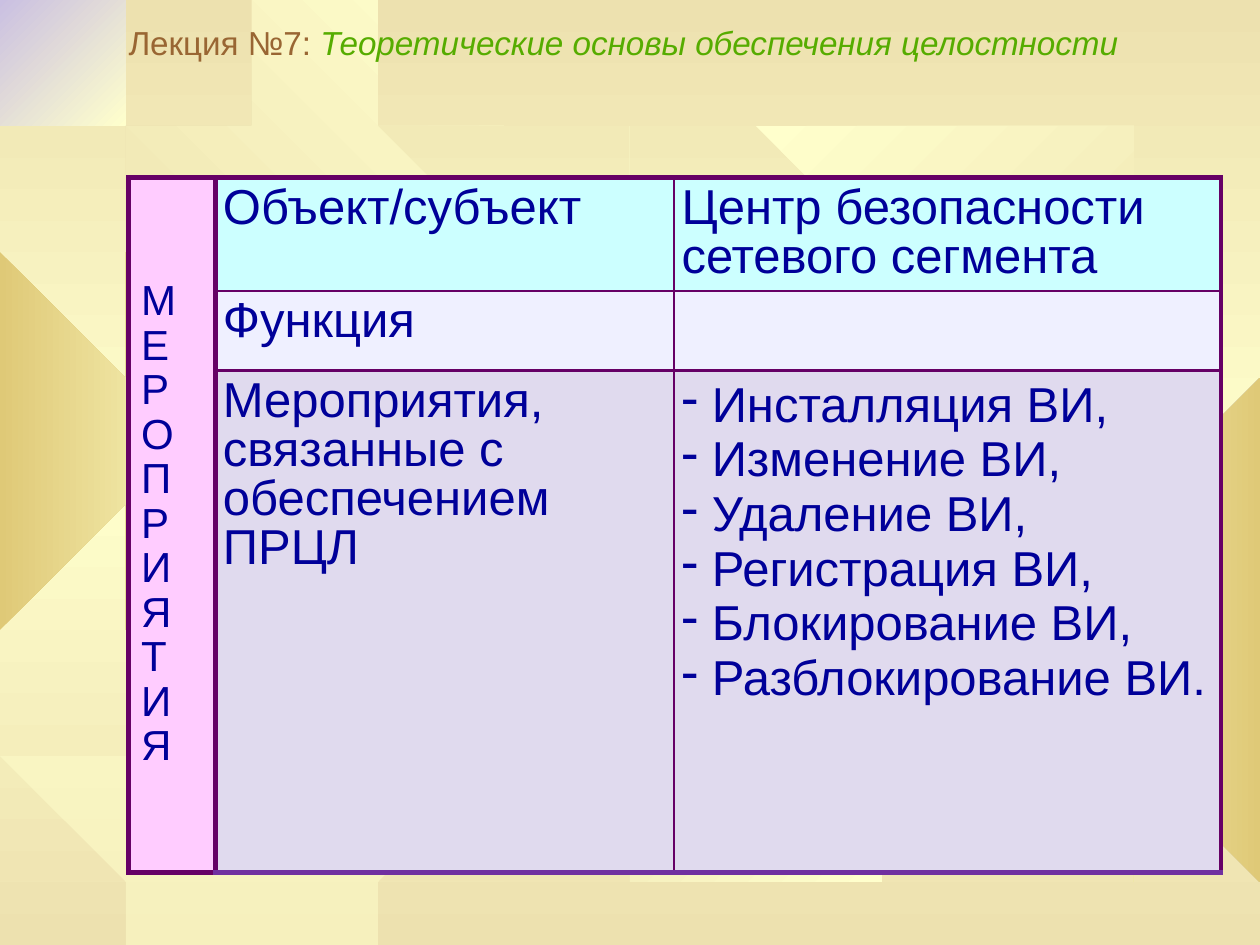
from copy import deepcopy
from lxml import etree
from pptx import Presentation
from pptx.dml.color import RGBColor
from pptx.enum.text import MSO_ANCHOR, MSO_AUTO_SIZE, PP_ALIGN
from pptx.oxml.ns import qn
from pptx.util import Inches, Pt

LEFT = PP_ALIGN.LEFT
TOP, MIDDLE = MSO_ANCHOR.TOP, MSO_ANCHOR.MIDDLE
FONT = "Arial"
NAVY, PLUM, VIOLET = "000099", "660066", "7030A0"
SAND, CREAM, GOLD, LILAC = "EDE1AF", "FFFFCC", "DFC977", "CAC0E2"
THICK, THIN = 3, 1.5

LECTURE = [("Лекция №7: ", "996633", False),
           ("Теоретические основы обеспечения целостности", "56AC00", True)]
SIDE_WORD = "МЕРОПРИЯТИЯ"
ROWS = [
    ("CCFFFF", "Объект/субъект", ["Центр безопасности сетевого сегмента"]),
    ("EFF0FF", "Функция", []),
    ("E0DAEE", "Мероприятия, связанные с обеспечением ПРЦЛ",
     ["Инсталляция ВИ,", "Изменение ВИ,", "Удаление ВИ,",
      "Регистрация ВИ,", "Блокирование ВИ,", "Разблокирование ВИ."]),
]
COLUMN_WIDTHS = [0.69, 3.64, 4.34]
ROW_HEIGHTS = [0.9, 0.63, 3.98]

GEAR_SPAN = 401
GEAR_OUTLINE = [
    (255, 67), (223, 59), (219, 0), (180, 3), (177, 59), (151, 68), (113, 20), (87, 35),
    (112, 88), (94, 106), (38, 85), (25, 107), (68, 145), (61, 174), (1, 178), (0, 210),
    (61, 219), (67, 246), (22, 287), (38, 312), (88, 288), (107, 307), (81, 355), (106, 375),
    (151, 332), (177, 341), (183, 400), (222, 401), (226, 339), (259, 330), (299, 374), (325, 358),
    (299, 306), (316, 284), (368, 309), (384, 281), (336, 246), (342, 216), (401, 210), (400, 180),
    (341, 171), (335, 148), (383, 114), (367, 87), (313, 109), (296, 91), (323, 41), (297, 25),
]
GEARS = [
    (-0.49, 2.01, 2.96, GOLD, CREAM, 0),
    (0.12, -0.04, 0.92, LILAC, CREAM, 45),
    (1.3, 0.39, 2.48, SAND, CREAM, 315),
    (2.77, 1.39, 4.01, CREAM, SAND, 45),
    (0, 5.25, 3.74, CREAM, None, 0),
    (4.91, 4.84, 2.48, SAND, CREAM, 45),
    (6.18, 0.53, 3.2, CREAM, SAND, 45),
    (7.82, 2.8, 4.37, CREAM, GOLD, 0),
]
EDGES = [(0, -0.01, 1), (0, 10.01, -1), (1, 0.02, 1), (1, 7.54, -1)]


def rgb(color):
    return RGBColor.from_string(color)


def set_gradient(fill, start, end, angle):
    fill.gradient()
    fill.gradient_angle = (360 - angle) % 360
    for stop, color, position in zip(fill.gradient_stops, (start, end), (0, 1)):
        stop.color.rgb = rgb(color)
        stop.position = position


def clip(points, axis, limit, side):
    kept = []
    for start, end in zip(points[-1:] + points[:-1], points):
        start_in = (start[axis] - limit) * side >= 0
        end_in = (end[axis] - limit) * side >= 0
        if start_in != end_in:
            share = (limit - start[axis]) / (end[axis] - start[axis])
            kept.append(tuple(a + (b - a) * share for a, b in zip(start, end)))
        if end_in:
            kept.append(end)
    return kept


def add_gear(left, top, size, start, end, angle):
    scale = size / GEAR_SPAN
    points = [(left + x * scale, top + y * scale) for x, y in GEAR_OUTLINE]
    for edge in EDGES:
        points = clip(points, *edge)
    builder = slide.shapes.build_freeform(*points[0], scale=Inches(1))
    builder.add_line_segments(points[1:], close=True)
    gear = builder.convert_to_shape()
    gear.shadow.inherit = False
    gear.line.fill.background()
    if end:
        set_gradient(gear.fill, start, end, angle)
    else:
        gear.fill.solid()
        gear.fill.fore_color.rgb = rgb(start)
        tint = gear.fill._xPr.find(qn("a:solidFill"))[0]
        etree.SubElement(tint, qn("a:alpha"), val="50000")


def write(paragraph, text, size=28, color=NAVY, italic=False, spacing=None, bullet=None):
    paragraph.alignment = LEFT
    paragraph.line_spacing = spacing
    run = paragraph.add_run()
    run.text = text
    run.font.name, run.font.size = FONT, Pt(size)
    run.font.bold, run.font.italic = False, italic
    run.font.color.rgb = rgb(color)
    if bullet:
        props = paragraph._p.get_or_add_pPr()
        props.set("marL", str(Inches(0.24)))
        props.set("indent", str(-Inches(0.24)))
        etree.SubElement(props, qn("a:buChar"), char=bullet)


def fill_cell(cell, lines, color, borders, inset=(0.06, 0.06), anchor=TOP, **text_format):
    for side, (border_color, width) in zip("LRTB", borders):
        line = etree.SubElement(cell._tc.get_or_add_tcPr(), qn("a:ln" + side), w=str(Pt(width)))
        paint = etree.SubElement(line, qn("a:solidFill"))
        etree.SubElement(paint, qn("a:srgbClr"), val=border_color)
    cell.fill.solid()
    cell.fill.fore_color.rgb = rgb(color)
    cell.margin_left = cell.margin_right = Inches(inset[0])
    cell.margin_top = cell.margin_bottom = Inches(inset[1])
    cell.vertical_anchor = anchor
    frame = cell.text_frame
    for index, text in enumerate(lines):
        write(frame.add_paragraph() if index else frame.paragraphs[0], text, **text_format)


deck = Presentation()
deck.slide_width, deck.slide_height = Inches(10), Inches(7.5)
slide = deck.slides.add_slide(deck.slide_layouts[5])

backdrop = slide.background.fill
set_gradient(backdrop, SAND, SAND, 90)
first_stop = backdrop._xPr.find(".//" + qn("a:gs"))
middle_stop = deepcopy(first_stop)
first_stop.addnext(middle_stop)
backdrop.gradient_stops[1].position = 0.5
backdrop.gradient_stops[1].color.rgb = rgb(CREAM)

for gear_settings in GEARS:
    add_gear(*gear_settings)

table = slide.shapes.add_table(
    len(ROW_HEIGHTS), len(COLUMN_WIDTHS), Inches(1.02), Inches(1.41),
    Inches(sum(COLUMN_WIDTHS)), Inches(sum(ROW_HEIGHTS))).table
table.first_row = table.horz_banding = False
for column, width in zip(table.columns, COLUMN_WIDTHS):
    column.width = Inches(width)
for row, height in zip(table.rows, ROW_HEIGHTS):
    row.height = Inches(height)

table.cell(0, 0).merge(table.cell(2, 0))
last = len(ROWS) - 1
for index, (color, label, details) in enumerate(ROWS):
    upper = (PLUM, THIN if index else THICK)
    lower = (VIOLET, THICK) if index == last else (PLUM, THIN)
    thick, thin = (PLUM, THICK), (PLUM, THIN)
    fill_cell(table.cell(index, 0), "" if index else SIDE_WORD, "FFCCFF", [thick] * 4,
              inset=(0.1, 0.05), anchor=MIDDLE, size=24, spacing=0.95)
    fill_cell(table.cell(index, 1), [label], color, [thick, thin, upper, lower], spacing=0.9)
    listed = len(details) > 1
    fill_cell(table.cell(index, 2), details, color, [thin, thick, upper, lower],
              spacing=None if listed else 0.9, bullet="-" if listed else None)

title = slide.shapes.title
slide.shapes.element.append(title.element)
title.left, title.top = Inches(1.02), Inches(0.21)
title.width, title.height = Inches(8.98), Inches(0.29)
heading = title.text_frame
heading.margin_left = heading.margin_right = heading.margin_top = heading.margin_bottom = 0
heading.vertical_anchor = MIDDLE
heading.auto_size = MSO_AUTO_SIZE.NONE
heading.word_wrap = True
for text, color, italic in LECTURE:
    write(heading.paragraphs[0], text, size=19, color=color, italic=italic, spacing=Pt(20))

deck.save("out.pptx")
